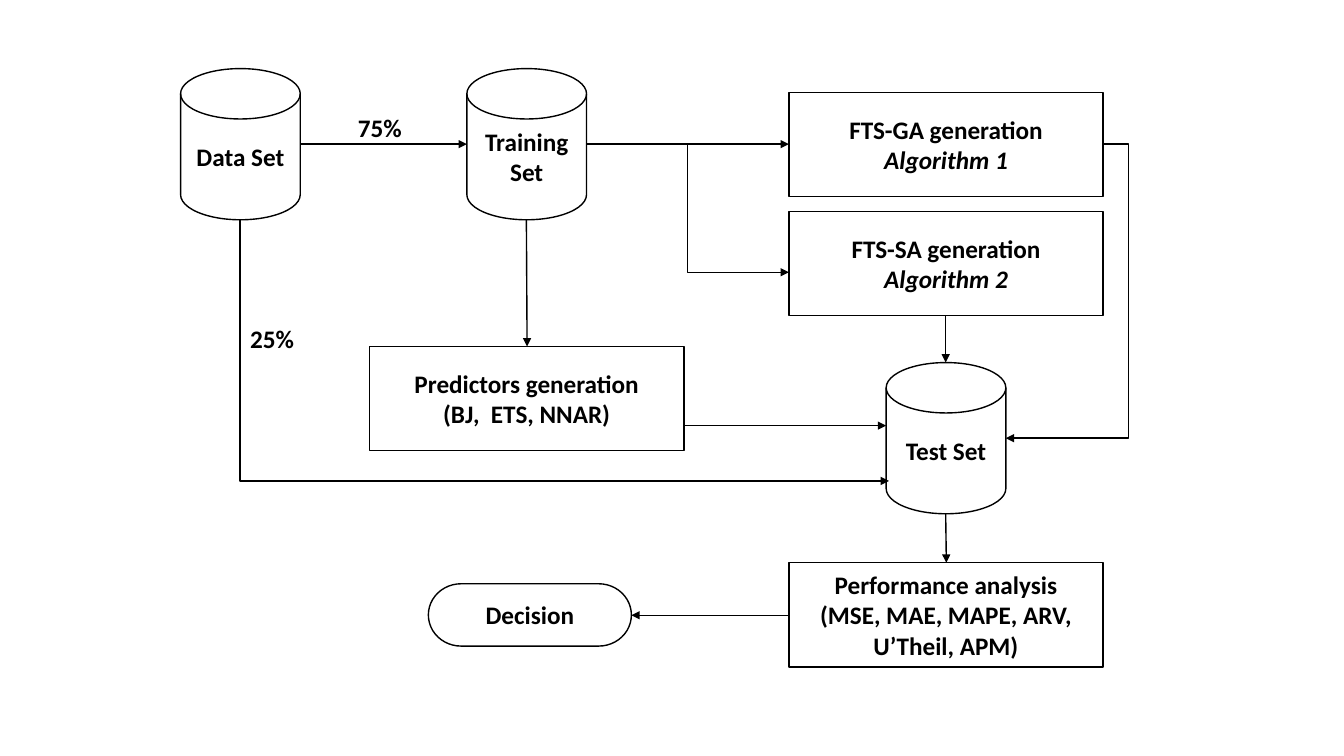
from lxml.etree import SubElement
from pptx import Presentation
from pptx.dml.color import RGBColor
from pptx.enum.shapes import MSO_CONNECTOR as LINK, MSO_SHAPE as SHAPE
from pptx.enum.text import MSO_ANCHOR, MSO_AUTO_SIZE, PP_ALIGN
from pptx.oxml.ns import qn
from pptx.util import Pt

BLACK = RGBColor(0x00, 0x00, 0x00)
WHITE = RGBColor(0xFF, 0xFF, 0xFF)

presentation = Presentation()
presentation.slide_width, presentation.slide_height = Pt(960), Pt(540)
slide = presentation.slides.add_slide(presentation.slide_layouts[6])


def write_lines(text_frame, lines, alignment):
    for index, line in enumerate(lines):
        paragraph = text_frame.paragraphs[0] if index == 0 else text_frame.add_paragraph()
        paragraph.alignment = alignment
        run = paragraph.add_run()
        run.text = line
        run.font.name, run.font.size, run.font.bold = "Calibri", Pt(18), True
        run.font.color.rgb = BLACK
        if line.startswith("Algorithm"):
            run.font.italic = True


def add_arrow(kind, x1, y1, x2, y2):
    arrow = slide.shapes.add_connector(kind, Pt(x1), Pt(y1), Pt(x2), Pt(y2))
    arrow.line.color.rgb = BLACK
    arrow.line.width = Pt(1)
    SubElement(arrow.line._get_or_add_ln(), qn("a:tailEnd"), type="triangle")
    SubElement(arrow._element.spPr, qn("a:effectLst"))
    return arrow


# Data stores, process boxes and the final decision
DISK = (SHAPE.FLOWCHART_MAGNETIC_DISK, 85.5, 108)
BOX = (SHAPE.RECTANGLE, 224.5, 74.5)
PILL = (SHAPE.FLOWCHART_TERMINATOR, 145, 44.5)
nodes = [
    (DISK, 129, 49, ["Data Set"]),
    (DISK, 333.5, 49, ["Training Set"]),
    (DISK, 633, 259, ["Test Set"]),
    (BOX, 264, 247.5, ["Predictors generation", "(BJ,  ETS, NNAR)"]),
    (BOX, 563.5, 66, ["FTS-GA generation", "Algorithm 1"]),
    (BOX, 563.5, 151, ["FTS-SA generation", "Algorithm 2"]),
    (BOX, 563.5, 402, ["Performance analysis", "(MSE, MAE, MAPE, ARV, U’Theil, APM)"]),
    (PILL, 306, 417, ["Decision"]),
]
for (preset, width, height), left, top, lines in nodes:
    shape = slide.shapes.add_shape(preset, Pt(left), Pt(top), Pt(width), Pt(height))
    shape.shadow.inherit = False
    shape.fill.solid()
    shape.fill.fore_color.rgb = WHITE
    shape.line.color.rgb = BLACK
    shape.line.width = Pt(1)
    shape.text_frame.word_wrap = True
    shape.text_frame.vertical_anchor = MSO_ANCHOR.MIDDLE
    write_lines(shape.text_frame, lines, PP_ALIGN.CENTER)

# Straight arrows
for ends in [
    (214.5, 103, 333.5, 103),      # data to training
    (419, 103, 563.5, 103),        # training to FTS-GA
    (376, 157, 376.5, 247.5),      # training to predictors
    (488.5, 304, 633, 304),        # predictors to test
    (675.5, 225.5, 675.5, 259),    # FTS-SA to test
    (675.5, 367, 676, 402),        # test to performance
    (563.5, 439.5, 451, 439.5),    # performance to decision
]:
    add_arrow(LINK.STRAIGHT, *ends)

# Training to FTS-SA
add_arrow(LINK.ELBOW, 419, 103, 563.5, 194.5)

# FTS-GA around the right side to test
outer_arrow = add_arrow(LINK.ELBOW, 788, 103, 718.5, 313)
guides = outer_arrow._element.spPr.prstGeom.get_or_add_avLst()
SubElement(guides, qn("a:gd"), name="adj1", fmla="val -25900")

# Data down and across to test: one bend, turned about its centre
x1, y1, x2, y2 = 171.5, 157, 635, 343.5
center_x, center_y = (x1 + x2) / 2, (y1 + y2) / 2
half_width, half_height = (y2 - y1) / 2, (x2 - x1) / 2
lower_arrow = add_arrow(LINK.ELBOW, center_x + half_width, center_y - half_height,
                        center_x - half_width, center_y + half_height)
lower_arrow._element.spPr.prstGeom.set("prst", "bentConnector2")
lower_arrow._element.spPr.xfrm.set("rot", str(270 * 60000))

# Shares of the data
for share, left, top in [("75%", 248.5, 77), ("25%", 171.5, 227.5)]:
    label = slide.shapes.add_textbox(Pt(left), Pt(top), Pt(46), Pt(29))
    label.text_frame.word_wrap = False
    label.text_frame.auto_size = MSO_AUTO_SIZE.SHAPE_TO_FIT_TEXT
    write_lines(label.text_frame, [share], PP_ALIGN.LEFT)

presentation.save("out.pptx")
